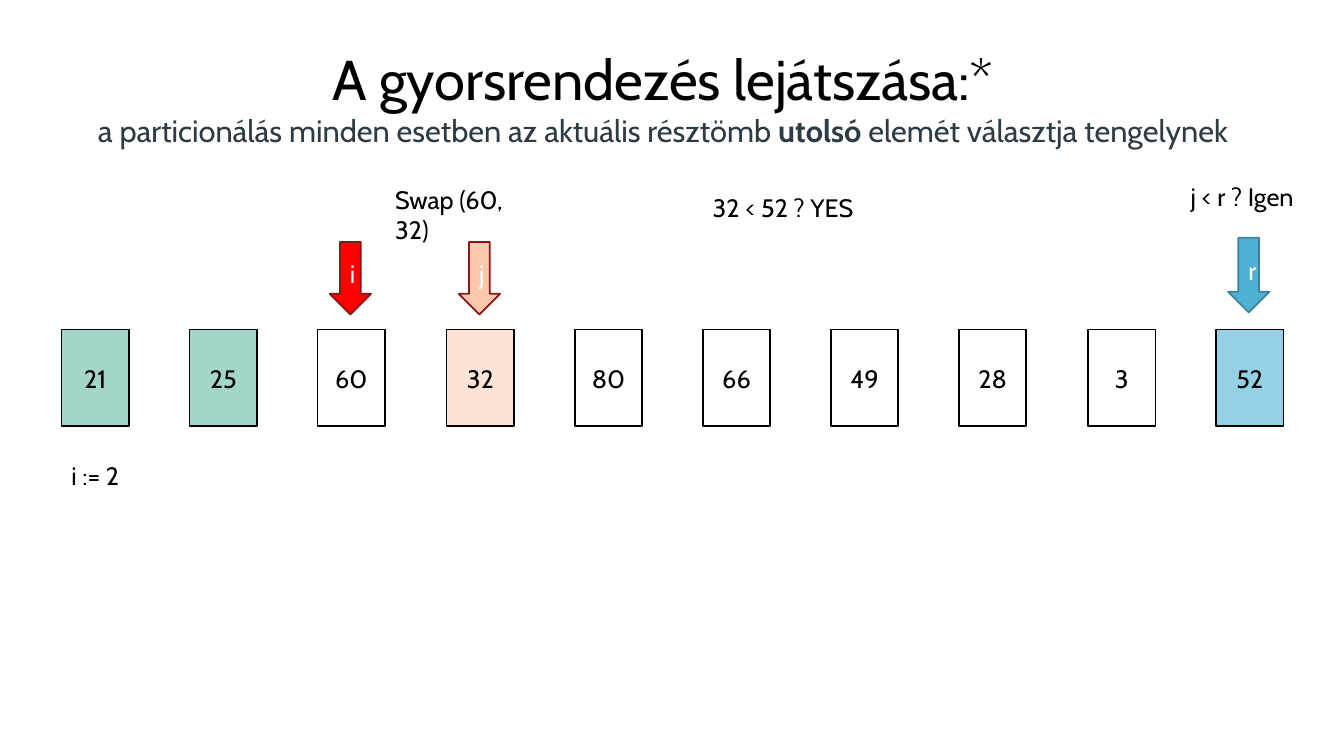
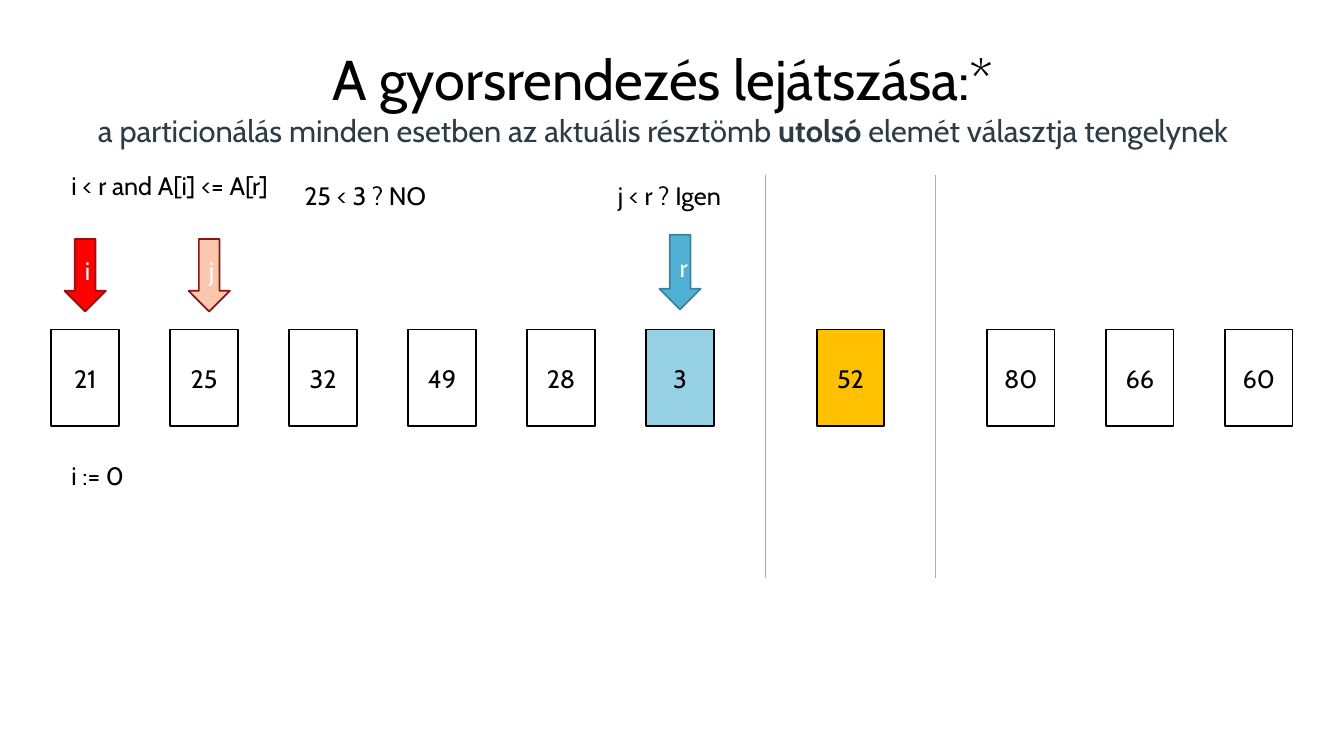
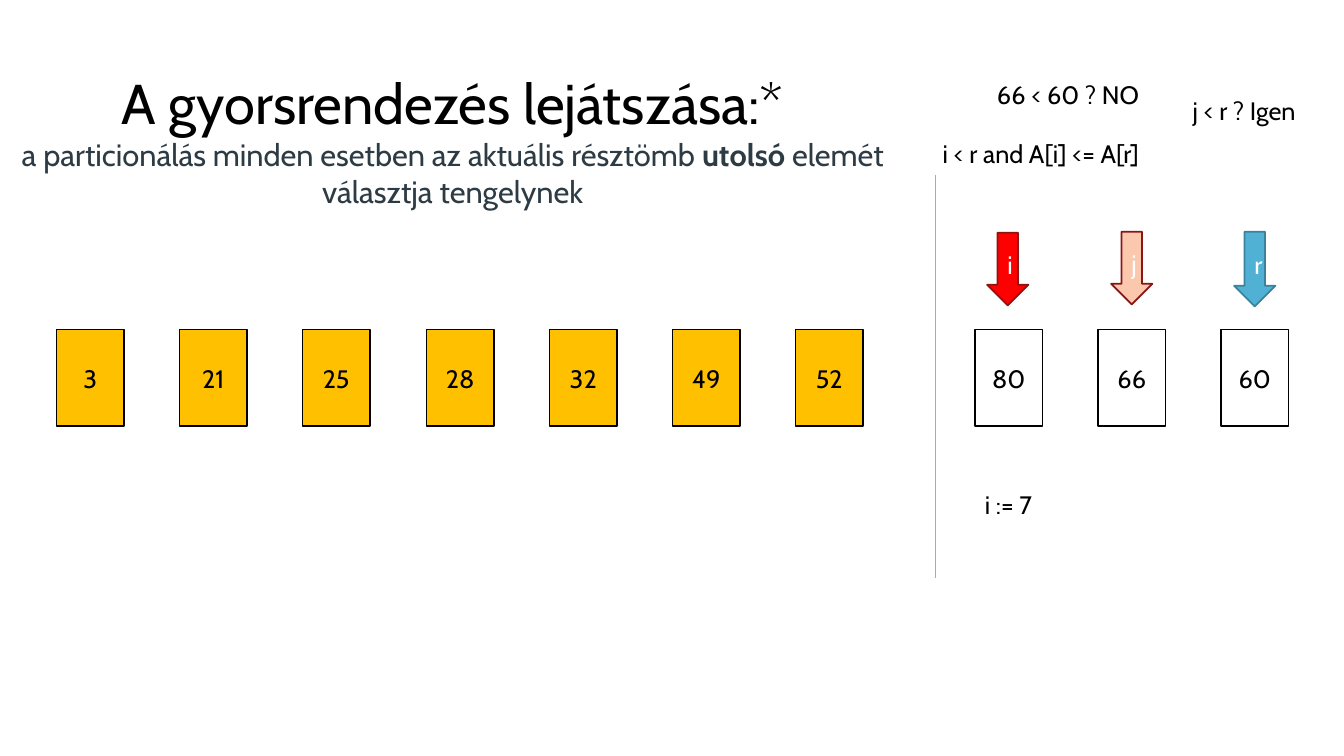
from lxml import etree
from pptx import Presentation
from pptx.dml.color import RGBColor
from pptx.enum import shapes, text
from pptx.oxml.ns import qn
from pptx.util import Emu, Pt

PX = 9144  # 100 px to the inch
FONT = "Cabin"

BLACK = RGBColor(0x00, 0x00, 0x00)
WHITE = RGBColor(0xFF, 0xFF, 0xFF)
SLATE = RGBColor(0x2D, 0x3B, 0x45)
GREY = RGBColor(0xAB, 0xAB, 0xAB)
GREEN = RGBColor(0xA4, 0xD5, 0xCA)
PEACH = RGBColor(0xFD, 0xE3, 0xD6)
SKY = RGBColor(0x96, 0xD0, 0xE5)
GOLD = RGBColor(0xFF, 0xC0, 0x00)
RED = RGBColor(0xFF, 0x00, 0x00)
SALMON = RGBColor(0xFB, 0xC8, 0xAE)
BLUE = RGBColor(0x50, 0xB1, 0xD4)
DARK_RED = RGBColor(0x8B, 0x15, 0x15)
DARK_BLUE = RGBColor(0x3B, 0x83, 0x9D)

CELL_TOP, CELL_W, CELL_H = 327, 67, 96
ARROW_W = 41
DIVIDER_TOP, DIVIDER_BOTTOM = 174, 573
# pointer: fill, line, height
POINTERS = {
    "i": (RED, DARK_RED, 72),
    "j": (SALMON, DARK_RED, 72),
    "r": (BLUE, DARK_BLUE, 74),
}
TITLE_RUNS = [
    ("a particionálás minden esetben az aktuális résztömb ", False),
    ("utolsó", True),
    (" elemét választja tengelynek", False),
]

# groups: left, pitch, (value, fill) pairs; pointers: name, left, top
# labels: text, left, top, width
SLIDES = [
    {
        "title": (63, 18, 1189, 156),
        "groups": [(61, 127.2, [
            (21, GREEN), (25, GREEN), (60, WHITE), (32, PEACH), (80, WHITE),
            (66, WHITE), (49, WHITE), (28, WHITE), (3, WHITE), (52, SKY)])],
        "pointers": [("r", 1218, 236), ("i", 327, 240), ("j", 455, 240)],
        "labels": [
            ("Swap (60, 32)", 382, 178, 164),
            ("i := 2", 61, 452, 161),
            ("32 < 52 ? YES", 697, 186, 226),
            ("j < r ? Igen", 1171, 175, 144)],
        "dividers": [],
    },
    {
        "title": (63, 18, 1189, 156),
        "groups": [
            (51, 118, [(21, WHITE), (25, WHITE), (32, WHITE),
                       (49, WHITE), (28, WHITE), (3, SKY)]),
            (810, 118, [(52, GOLD)]),
            (979, 118, [(80, WHITE), (66, WHITE), (60, WHITE)])],
        "pointers": [("r", 654, 233), ("i", 64, 237), ("j", 187, 237)],
        "labels": [
            ("i := 0", 61, 452, 161),
            ("25 < 3 ? NO", 292, 174, 226),
            ("j < r ? Igen", 603, 174, 144),
            ("i < r and A[i] <= A[r]", 61, 164, 228)],
        "dividers": [759, 928],
    },
    {
        "title": (0, 17, 898, 242),
        "groups": [
            (56, 122.2, [(n, GOLD) for n in (3, 21, 25, 28, 32, 49, 52)]),
            (967, 122.2, [(80, WHITE), (66, WHITE), (60, WHITE)])],
        "pointers": [("r", 1224, 230), ("i", 979, 231), ("j", 1102, 230)],
        "labels": [
            ("i := 7", 967, 481, 161),
            ("66 < 60 ? NO", 979, 74, 226),
            ("j < r ? Igen", 1173, 90, 144),
            ("i < r and A[i] <= A[r]", 925, 132, 230)],
        "dividers": [928],
    },
]


def add_box(s, kind, box, fill, line, label, color):
    """Add a filled preset shape with one centred label."""
    sp = s.shapes.add_shape(kind, *(Emu(v * PX) for v in box))
    sp.shadow.inherit = False
    sp.fill.solid()
    sp.fill.fore_color.rgb = fill
    sp.line.color.rgb = line
    sp.line.width = Pt(1.25)
    tf = sp.text_frame
    tf.vertical_anchor = text.MSO_ANCHOR.MIDDLE
    p = tf.paragraphs[0]
    p.text = label
    p.alignment = text.PP_ALIGN.CENTER
    p.font.name, p.font.size, p.font.color.rgb = FONT, Pt(18), color


def add_text(s, box):
    """Add a wrapping text box and return its text frame."""
    tf = s.shapes.add_textbox(*(Emu(v * PX) for v in box)).text_frame
    tf.word_wrap = True
    return tf


prs = Presentation()
prs.slide_width, prs.slide_height = Emu(1333 * PX), Emu(750 * PX)

for content in SLIDES:
    s = prs.slides.add_slide(prs.slide_layouts[6])

    tf = add_text(s, content["title"])
    tf.vertical_anchor = text.MSO_ANCHOR.MIDDLE
    p = tf.paragraphs[0]
    p.alignment = text.PP_ALIGN.CENTER
    p.font.name = FONT
    r = p.add_run()
    r.text = "A gyorsrendezés lejátszása:*"
    r.font.size, r.font.color.rgb = Pt(40), BLACK
    p.add_line_break()
    for words, bold in TITLE_RUNS:
        r = p.add_run()
        r.text = words
        r.font.size, r.font.color.rgb, r.font.bold = Pt(22), SLATE, bold

    for left, pitch, cells in content["groups"]:
        for n, (value, fill) in enumerate(cells):
            box = (round(left + n * pitch), CELL_TOP, CELL_W, CELL_H)
            add_box(s, shapes.MSO_SHAPE.RECTANGLE, box, fill, BLACK, str(value), BLACK)

    for name, left, top in content["pointers"]:
        fill, line, height = POINTERS[name]
        box = (left, top, ARROW_W, height)
        add_box(s, shapes.MSO_SHAPE.DOWN_ARROW, box, fill, line, name, WHITE)

    for x in content["dividers"]:
        c = s.shapes.add_connector(
            shapes.MSO_CONNECTOR.STRAIGHT,
            Emu(x * PX), Emu(DIVIDER_TOP * PX), Emu(x * PX), Emu(DIVIDER_BOTTOM * PX))
        c.line.color.rgb = GREY
        c.line.width = Pt(0.75)
        etree.SubElement(c._element.spPr, qn("a:effectLst"))

    for words, left, top, width in content["labels"]:
        p = add_text(s, (left, top, width, 40)).paragraphs[0]
        p.text = words
        p.font.name, p.font.size, p.font.color.rgb = FONT, Pt(18), BLACK

prs.save("out.pptx")
